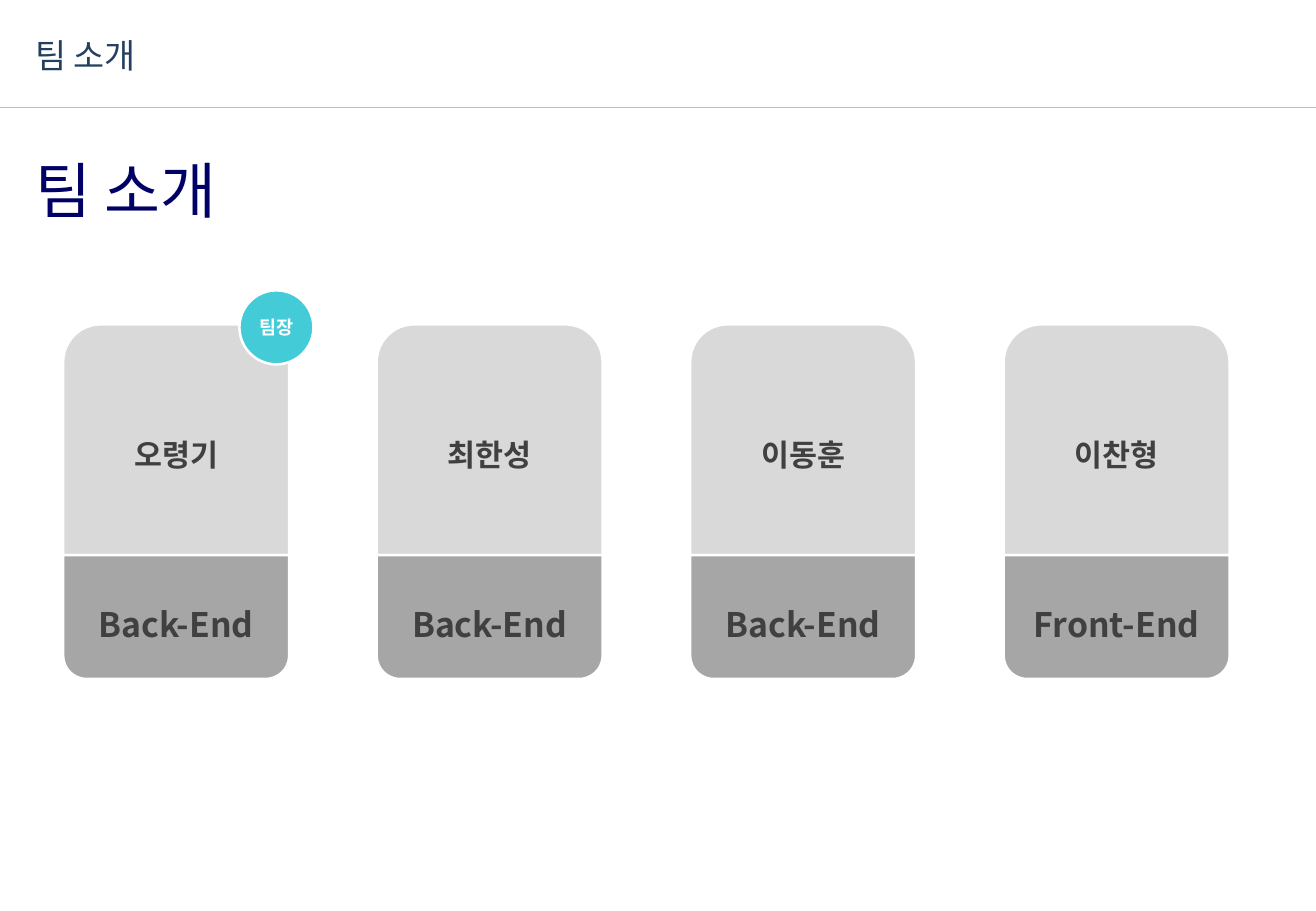
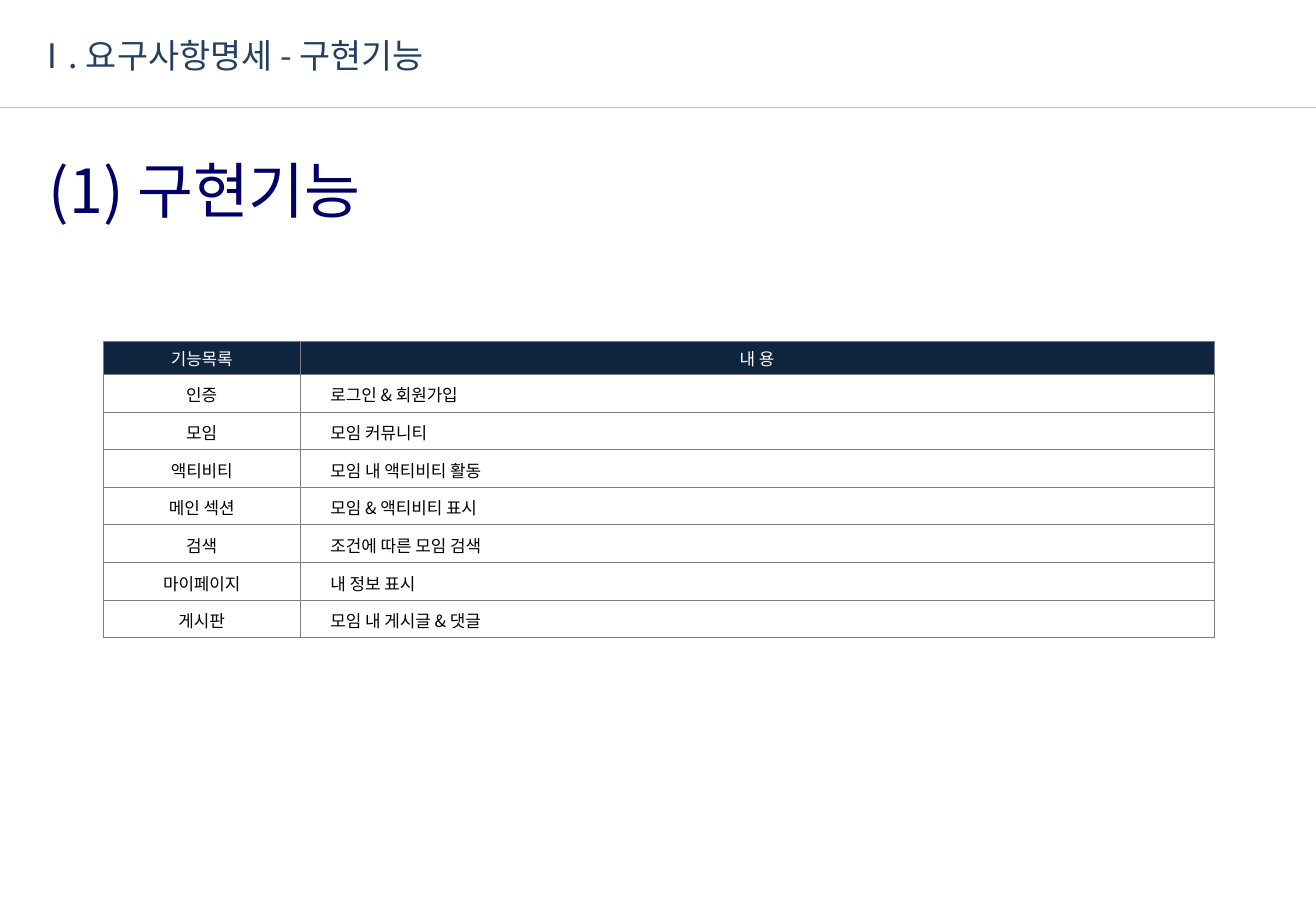
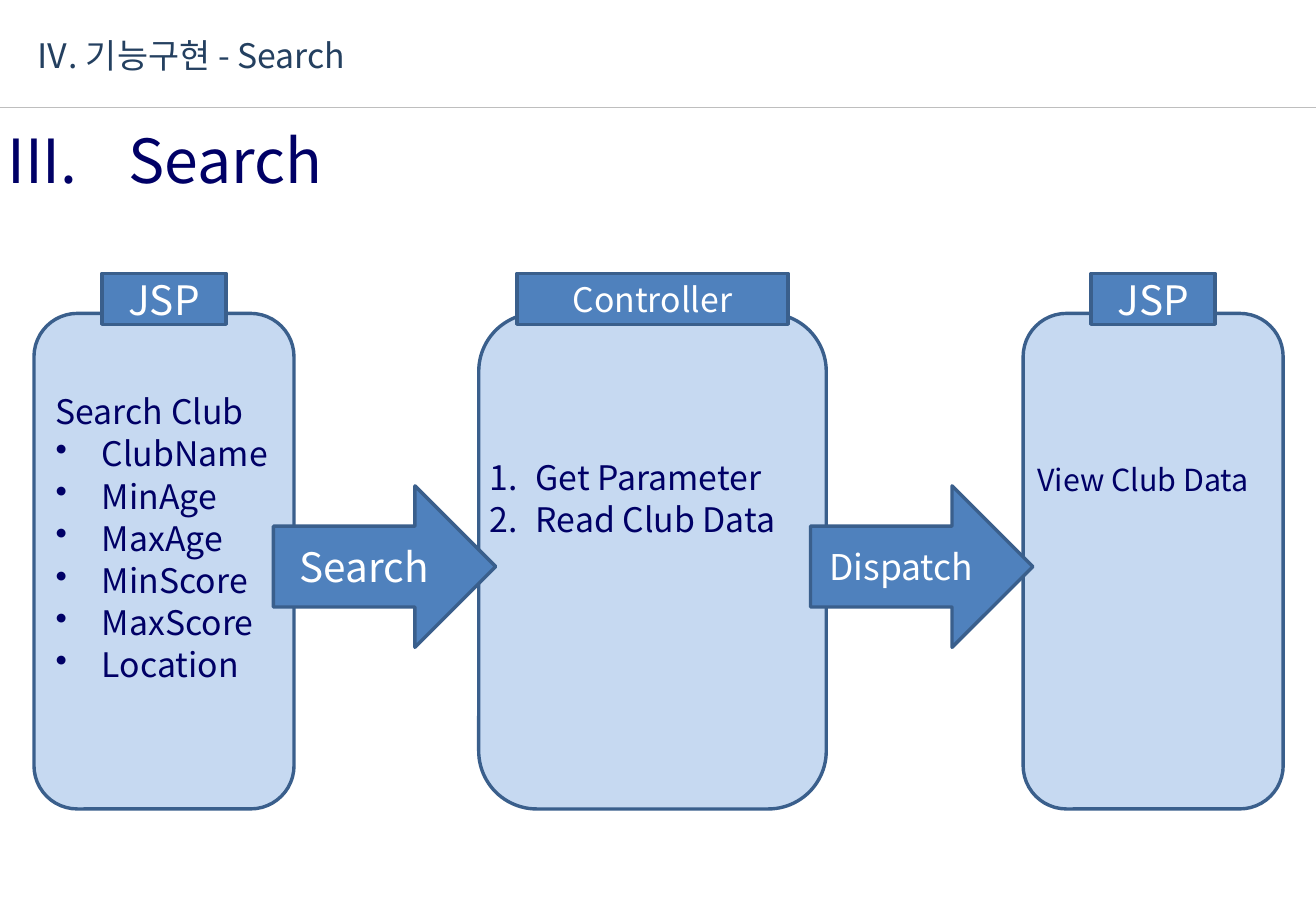
from lxml.etree import SubElement
from pptx import Presentation
from pptx.dml.color import RGBColor
from pptx.enum.shapes import MSO_CONNECTOR, MSO_SHAPE
from pptx.enum.text import MSO_ANCHOR, PP_ALIGN
from pptx.oxml.ns import qn
from pptx.util import Inches, Pt

FONT = "Noto Sans CJK KR"
WIDTH, HEIGHT = 10.83, 7.5

WHITE = RGBColor(0xFF, 0xFF, 0xFF)
BLACK = RGBColor(0x00, 0x00, 0x00)
RULE_GRAY = RGBColor(0xBE, 0xBE, 0xBE)
HEADER_BLUE = RGBColor(0x24, 0x40, 0x60)
TITLE_NAVY = RGBColor(0x00, 0x00, 0x66)
CARD_LIGHT = RGBColor(0xD9, 0xD9, 0xD9)
CARD_DARK = RGBColor(0xA6, 0xA6, 0xA6)
CARD_TEXT = RGBColor(0x40, 0x40, 0x40)
BADGE_TEAL = RGBColor(0x43, 0xCB, 0xD7)
TABLE_HEAD = RGBColor(0x0F, 0x24, 0x3E)
PANEL_FILL = RGBColor(0xC6, 0xD9, 0xF1)
FLOW_BLUE = RGBColor(0x4F, 0x81, 0xBD)
FLOW_LINE = RGBColor(0x3A, 0x5F, 0x8C)

MEMBERS = [
    ("오령기", "Back-End"),
    ("최한성", "Back-End"),
    ("이동훈", "Back-End"),
    ("이찬형", "Front-End"),
]
LEADER_BADGE = "팀장"

FEATURES = [
    ("기능목록", "내 용"),
    ("인증", "로그인 & 회원가입"),
    ("모임", "모임 커뮤니티"),
    ("액티비티", "모임 내 액티비티 활동"),
    ("메인 섹션", "모임 & 액티비티 표시"),
    ("검색", "조건에 따른 모임 검색"),
    ("마이페이지", "내 정보 표시"),
    ("게시판", "모임 내 게시글 & 댓글"),
]

BULLET = ("a:buChar", {"char": "•"})
NUMBER = ("a:buAutoNum", {"type": "arabicPeriod"})
# Panel left and width; tag text, size and width; body box, size and (text, marker) lines
PANELS = [
    ((0.28, 2.14), ("JSP", 24, 1.02), (-0.15, 3.17, 2.57, 2.54), 20,
     [("Search Club", None), ("ClubName", BULLET), ("MinAge", BULLET),
      ("MaxAge", BULLET), ("MinScore", BULLET), ("MaxScore", BULLET),
      ("Location", BULLET)]),
    ((3.94, 2.86), ("Controller", 20, 2.23), (3.42, 3.71, 3.68, 0.79), 20,
     [("Get Parameter", NUMBER), ("Read Club Data", NUMBER)]),
    ((8.42, 2.14), ("JSP", 24, 1.02), (7.93, 3.75, 2.72, 0.4), 18,
     [("View Club Data", None)]),
]
ARROWS = [(2.25, "Search", 24), (6.67, "Dispatch", 21)]


def style(paragraph, size, color, bold=False, align=None, before=None):
    paragraph.alignment = align
    if before is not None:
        paragraph.space_before = Pt(before)
    font = paragraph.font
    font.size, font.bold, font.name = Pt(size), bold, FONT
    font.color.rgb = color
    properties = paragraph._p.get_or_add_pPr().find(qn("a:defRPr"))
    SubElement(properties, qn("a:ea"), typeface=FONT)


def set_indent(paragraph, left, first=0.0, marker=None, tab=None):
    """Set the margins, list marker and tab stop; call before style()."""
    properties = paragraph._p.get_or_add_pPr()
    properties.set("marL", str(Inches(left)))
    properties.set("indent", str(Inches(first)))
    if marker:
        tag, attributes = marker
        SubElement(properties, qn(tag), attributes)
    if tab:
        tabs = SubElement(properties, qn("a:tabLst"))
        SubElement(tabs, qn("a:tab"), pos=str(Inches(tab)), algn="l")


def add_text(slide, box, lines, size, color, margins=None):
    """Add a text box; each line is (text, left indent, first indent, marker)."""
    frame = slide.shapes.add_textbox(*map(Inches, box)).text_frame
    frame.word_wrap = True
    if margins:
        (frame.margin_left, frame.margin_top,
         frame.margin_right, frame.margin_bottom) = map(Inches, margins)
    for index, (text, left, first, marker) in enumerate(lines):
        paragraph = frame.add_paragraph() if index else frame.paragraphs[0]
        paragraph.text = text
        set_indent(paragraph, left, first, marker, tab=0.84)
        style(paragraph, size, color, before=1)


def add_block(slide, kind, box, fill, line, line_width, text="", size=18,
              color=WHITE, bold=False, spacing=None, margin=None):
    shape = slide.shapes.add_shape(kind, *map(Inches, box))
    shape.shadow.inherit = False
    shape.fill.solid()
    shape.fill.fore_color.rgb = fill
    shape.line.color.rgb = line
    shape.line.width = Pt(line_width)
    if text:
        frame = shape.text_frame
        frame.vertical_anchor = MSO_ANCHOR.MIDDLE
        if margin is not None:
            frame.margin_left = frame.margin_right = Inches(margin)
            frame.margin_top = frame.margin_bottom = Inches(margin)
        paragraph = frame.paragraphs[0]
        paragraph.text = text
        paragraph.line_spacing = spacing
        style(paragraph, size, color, bold, PP_ALIGN.CENTER)
    return shape


def add_slide(presentation, header, title, title_left=0.28, title_top=1.25):
    """Add a slide with the shared header, rule and title."""
    slide = presentation.slides.add_slide(presentation.slide_layouts[6])
    rule = slide.shapes.add_connector(
        MSO_CONNECTOR.STRAIGHT, 0, Inches(0.88), Inches(WIDTH), Inches(0.88))
    rule.line.color.rgb = RULE_GRAY
    rule.line.width = Pt(0.25)
    SubElement(rule._element.spPr, qn("a:effectLst"))
    for text, box, size, color in (
        (header, (0.28, 0.28, 4, 0.35), 20, HEADER_BLUE),
        (title, (title_left, title_top, 4.37, 0.62), 36, TITLE_NAVY),
    ):
        add_text(slide, box, [(text, 0.01, 0, None)], size, color, (0, 0.01, 0, 0))
    return slide


def build_team(presentation):
    slide = add_slide(presentation, "팀 소개", "팀 소개")
    left, top, pitch, width = 0.52, 2.67, 2.58, 1.86
    name_height, role_height, badge = 1.9, 1.02, 0.61
    for index, (name, role) in enumerate(MEMBERS):
        x = left + index * pitch
        add_block(slide, MSO_SHAPE.ROUND_2_SAME_RECTANGLE,
                  (x, top, width, name_height), CARD_LIGHT, WHITE, 1.5,
                  name, 18, CARD_TEXT, True, 1.5)
        role_block = add_block(slide, MSO_SHAPE.ROUND_2_SAME_RECTANGLE,
                               (x, top + name_height, width, role_height),
                               CARD_DARK, WHITE, 1.5, role, 20, CARD_TEXT, True, 1.5)
        role_block.adjustments[0] = 0
        role_block.adjustments[1] = 0.19
    add_block(slide, MSO_SHAPE.OVAL, (1.97, 2.39, badge, badge), BADGE_TEAL,
              WHITE, 1.5, LEADER_BADGE, 11, WHITE, True, margin=0)


def set_borders(cell, color, width):
    properties = cell._tc.get_or_add_tcPr()
    for index, side in enumerate(("a:lnL", "a:lnR", "a:lnT", "a:lnB")):
        line = properties.makeelement(qn(side), {"w": str(Pt(width))})
        fill = SubElement(line, qn("a:solidFill"))
        SubElement(fill, qn("a:srgbClr"), val=str(color))
        properties.insert(index, line)


def build_features(presentation):
    slide = add_slide(presentation, "Ⅰ. 요구사항명세 - 구현기능", " (1) 구현기능")
    columns, head_height, row_height = (1.62, 7.52), 0.27, 0.31
    height = head_height + row_height * (len(FEATURES) - 1)
    table = slide.shapes.add_table(
        len(FEATURES), len(columns), Inches(0.85), Inches(2.81),
        Inches(sum(columns)), Inches(height)).table
    table.first_row = table.horz_banding = False
    for column, width in zip(table.columns, columns):
        column.width = Inches(width)
    for row, texts in enumerate(FEATURES):
        head = row == 0
        table.rows[row].height = Inches(head_height if head else row_height)
        for column, text in enumerate(texts):
            cell = table.cell(row, column)
            cell.margin_left = cell.margin_right = cell.margin_bottom = 0
            cell.margin_top = Inches(0.04 if head else 0.07)
            if head:
                cell.fill.solid()
                cell.fill.fore_color.rgb = TABLE_HEAD
            else:
                cell.fill.background()
            set_borders(cell, RGBColor(0x7E, 0x7E, 0x7E), 0.25)
            paragraph = cell.text_frame.paragraphs[0]
            paragraph.text = text
            centred = head or column == 0
            if not centred:
                set_indent(paragraph, 0.25)
            style(paragraph, 10, WHITE if head else BLACK,
                  align=PP_ALIGN.CENTER if centred else PP_ALIGN.LEFT,
                  before=3.2 if head else 4.8)


def build_search(presentation):
    slide = add_slide(presentation, "Ⅳ. 기능구현 - Search", "III. \tSearch", 0.05, 1)
    for (left, width), (tag, tag_size, tag_width), body, size, lines in PANELS:
        add_block(slide, MSO_SHAPE.ROUNDED_RECTANGLE, (left, 2.58, width, 4.08),
                  PANEL_FILL, FLOW_LINE, 2)
        add_block(slide, MSO_SHAPE.RECTANGLE,
                  (left + (width - tag_width) / 2, 2.25, tag_width, 0.42),
                  FLOW_BLUE, FLOW_LINE, 2, tag, tag_size)
        indented = [(text, 0.89, -0.38, marker) if marker else (text, 0.51, 0, None)
                    for text, marker in lines]
        add_text(slide, body, indented, size, TITLE_NAVY)
    for left, text, size in ARROWS:
        add_block(slide, MSO_SHAPE.RIGHT_ARROW, (left, 4, 1.83, 1.33),
                  FLOW_BLUE, FLOW_LINE, 2, text, size)


def main():
    presentation = Presentation()
    presentation.slide_width = Inches(WIDTH)
    presentation.slide_height = Inches(HEIGHT)
    build_team(presentation)
    build_features(presentation)
    build_search(presentation)
    presentation.save("out.pptx")


if __name__ == "__main__":
    main()
